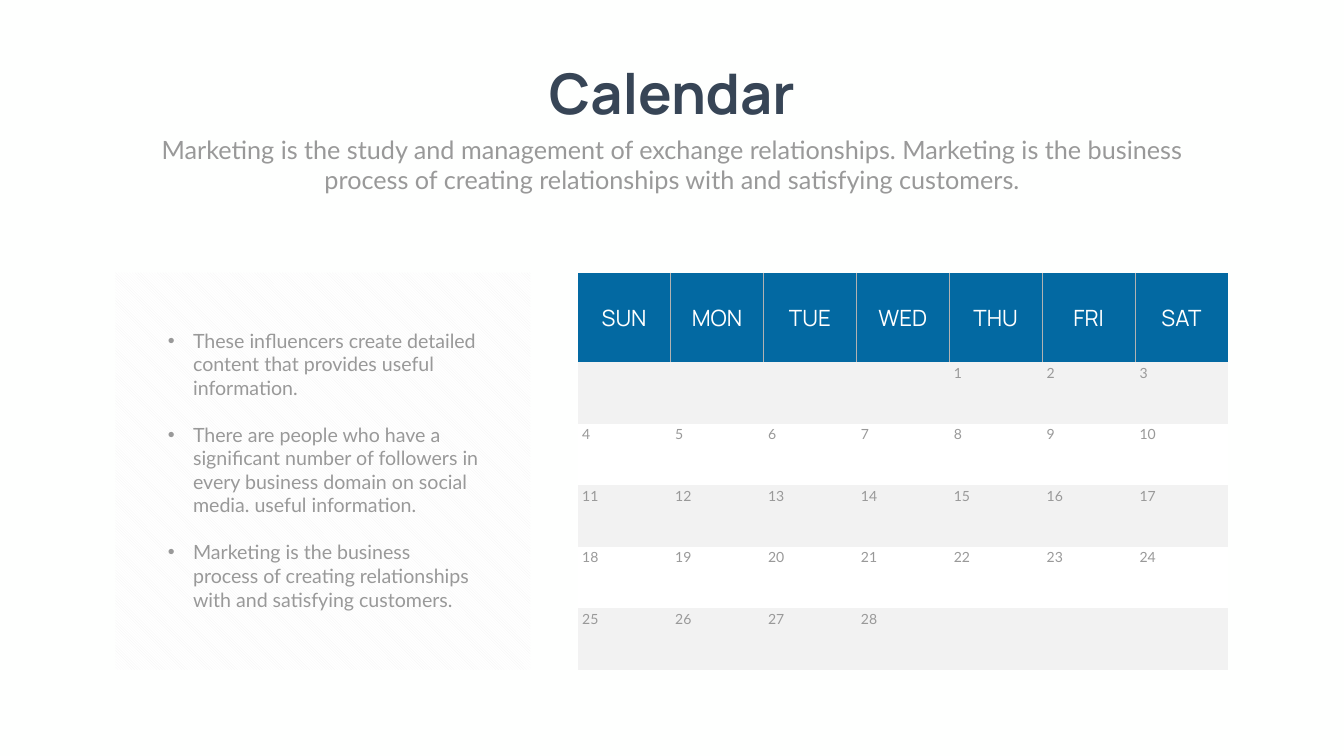
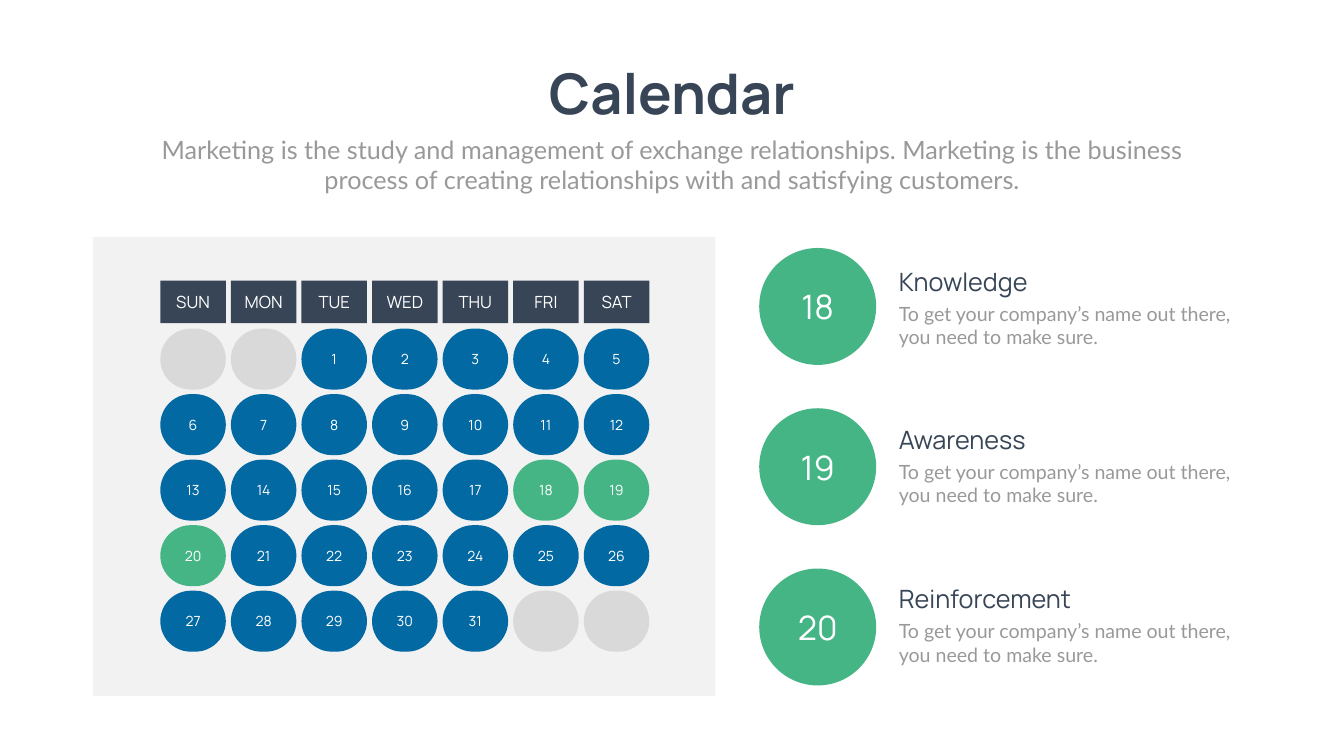
import pptx
import pptx.dml.color
import pptx.enum.dml
import pptx.enum.shapes
import pptx.enum.text
import pptx.oxml
import pptx.oxml.ns
import pptx.util

Inches = pptx.util.Inches
Pt = pptx.util.Pt
SHAPE = pptx.enum.shapes.MSO_SHAPE
ALIGN = pptx.enum.text.PP_ALIGN
ANCHOR = pptx.enum.text.MSO_ANCHOR

# Shared colours and text styles
NAVY, BLUE, GREEN = "374556", "0369A2", "46B586"
GREY_TEXT, GREY_LINE, GREY_DAY, PALE = "999999", "B2B2B2", "D9D9D9", "F2F2F2"
WHITE, PAPER = "FFFFFF", "FEFFFE"

TITLE = {"name": "Manrope", "size": Pt(80), "bold": True, "color": NAVY, "align": ALIGN.CENTER}
SUBTITLE = {"name": "Lato", "size": Pt(36), "color": GREY_TEXT, "align": ALIGN.CENTER}
BODY = {"name": "Lato", "size": Pt(28), "color": GREY_TEXT, "align": ALIGN.LEFT}
HEADING = {"name": "Manrope", "size": Pt(36), "color": NAVY, "align": ALIGN.LEFT}
DATE = {"name": "Lato", "size": Pt(20), "color": GREY_TEXT, "align": ALIGN.LEFT}
TABLE_HEAD = {"name": "Manrope", "size": Pt(32), "color": WHITE, "align": ALIGN.CENTER}
WEEKDAY = {**TABLE_HEAD, "size": Pt(24)}
DAY = {**TABLE_HEAD, "size": Pt(20)}
BADGE = {**TABLE_HEAD, "size": Pt(48)}

WEEKDAYS = ["SUN", "MON", "TUE", "WED", "THU", "FRI", "SAT"]
WEEKS = 5


def rgb(hex_color):
    return pptx.dml.color.RGBColor.from_string(hex_color)


def write(target, text, style, fill=None, anchor=ANCHOR.TOP):
    """Fill a shape or table cell and set its text, one paragraph per line."""
    if fill:
        target.fill.solid()
        target.fill.fore_color.rgb = rgb(fill)
        if hasattr(target, "line"):
            target.line.fill.background()
            target.shadow.inherit = False
    if not text:
        return
    frame = target.text_frame
    frame.text = text
    frame.word_wrap = True
    frame.auto_size = pptx.enum.text.MSO_AUTO_SIZE.NONE
    frame.vertical_anchor = anchor
    for paragraph in frame.paragraphs:
        paragraph.alignment = style["align"]
        paragraph.space_before = Pt(0)
        for run in paragraph.runs:
            run.font.color.rgb = rgb(style["color"])
            for key in ("name", "size", "bold"):
                setattr(run.font, key, style.get(key))


deck = pptx.Presentation()
deck.slide_width, deck.slide_height = Inches(26.66), Inches(15)
deck.slide_master.background.fill.solid()
deck.slide_master.background.fill.fore_color.rgb = rgb(PAPER)

# Both slides: title and subtitle
table_slide = deck.slides.add_slide(deck.slide_layouts[1])
circle_slide = deck.slides.add_slide(deck.slide_layouts[5])
for slide in (table_slide, circle_slide):
    title = slide.shapes.title
    title.left, title.top, title.width, title.height = map(Inches, (10.53, 1.12, 5.6, 1.45))
    write(title, "Calendar", TITLE)
    subtitle = slide.shapes.add_textbox(*map(Inches, (2.92, 2.61, 20.82, 1.31)))
    write(subtitle, "Marketing is the study and management of exchange relationships. "
          "Marketing is the business process of creating relationships with and "
          "satisfying customers.", SUBTITLE)

# Slide 1: striped panel, placed behind the list
stripes = table_slide.shapes.add_shape(SHAPE.RECTANGLE, *map(Inches, (2.29, 5.41, 8.23, 7.88)))
stripes.shadow.inherit = False
stripes.line.fill.background()
stripes.fill.patterned()
stripes.fill.pattern = pptx.enum.dml.MSO_PATTERN.WIDE_DOWNWARD_DIAGONAL
stripes.fill.fore_color.rgb = rgb(PALE)
stripes.fill.back_color.rgb = rgb(WHITE)
table_slide.shapes.element.insert(2, stripes.element)

# Slide 1: bulleted notes
notes = [
    "These influencers create detailed content that provides useful information.",
    "There are people who have a significant number of followers in every business "
    "domain on social media. useful information.",
    "Marketing is the business process of creating relationships with and satisfying customers.",
]
note_list = table_slide.placeholders[1]
note_list.left, note_list.top, note_list.width, note_list.height = map(
    Inches, (3.23, 6.47, 6.37, 5.76))
write(note_list, "\n".join(notes), BODY)
for index, paragraph in enumerate(note_list.text_frame.paragraphs):
    paragraph.space_before = Pt(33.6 if index else 0)
    properties = paragraph._p.get_or_add_pPr()
    properties.set("marL", str(Inches(0.5)))
    properties.set("indent", str(Inches(-0.5)))
    bullet = pptx.oxml.parse_xml(
        f'<a:buChar {pptx.oxml.ns.nsdecls("a")} char="•"/>')
    properties.append(bullet)

# Slide 1: month table, 28 days starting on a Thursday
month = table_slide.shapes.add_table(
    WEEKS + 1, len(WEEKDAYS), *map(Inches, (11.46, 5.41, 12.9, 7.88))).table
month.first_row = month.horz_banding = False
style_id = month._tbl.tblPr.find(pptx.oxml.ns.qn("a:tableStyleId"))
style_id.text = "{2D5ABB26-0587-4C30-8999-92F81FD0307C}"
for column in month.columns:
    column.width = Inches(12.9 / len(WEEKDAYS))
for index, row in enumerate(month.rows):
    row.height = Inches(1.22 if index else 1.78)
    for col, cell in enumerate(row.cells):
        cell.margin_left = cell.margin_right = Inches(0.09)
        cell.margin_top = cell.margin_bottom = Inches(0.04)
        if index:
            day = (index - 1) * 7 + col - 3
            write(cell, str(day) if 1 <= day <= 28 else "", DATE, PALE if index % 2 else WHITE)
            continue
        write(cell, WEEKDAYS[col], TABLE_HEAD, BLUE)
        cell.vertical_anchor = ANCHOR.MIDDLE
        # Thin rules between the weekdays only
        edges = (["lnR"] if col < 6 else []) + (["lnL"] if col else [])
        for edge in edges:
            cell._tc.tcPr.insert(0, pptx.oxml.parse_xml(
                f'<a:{edge} {pptx.oxml.ns.nsdecls("a")} w="{Pt(0.5)}"><a:solidFill>'
                f'<a:srgbClr val="{GREY_LINE}"/></a:solidFill></a:{edge}>'))

# Slide 2: month of circles, 31 days starting on a Tuesday
calendar = circle_slide.shapes.add_group_shape().shapes
panel = calendar.add_shape(SHAPE.RECTANGLE, *map(Inches, (1.85, 4.7, 12.34, 9.11)))
write(panel, "", DAY, PALE)
for col, weekday in enumerate(WEEKDAYS):
    left = 3.18 + 1.4 * col
    label = calendar.add_shape(SHAPE.RECTANGLE, *map(Inches, (left, 5.57, 1.3, 0.84)))
    write(label, weekday, WEEKDAY, NAVY, ANCHOR.MIDDLE)
    for week in range(WEEKS):
        day = week * 7 + col - 1
        in_month = 1 <= day <= 31
        fill = GREEN if day in (18, 19, 20) else BLUE if in_month else GREY_DAY
        date = calendar.add_shape(
            SHAPE.ROUNDED_RECTANGLE, *map(Inches, (left, 6.52 + 1.3 * week, 1.3, 1.21)))
        date.adjustments[0] = 0.5
        write(date, str(day) if in_month else "", DAY, fill, ANCHOR.MIDDLE)

# Slide 2: the three highlighted days
events = [
    ("18", "Knowledge", 5.23, 3.26),
    ("19", "Awareness", 8.36, 3.26),
    ("20", "Reinforcement", 11.53, 4.22),
]
for index, (day, name, top, width) in enumerate(events):
    event = circle_slide.shapes.add_group_shape().shapes
    badge = event.add_shape(SHAPE.OVAL, *map(Inches, (15.06, 4.92 + 3.18 * index, 2.32, 2.32)))
    write(badge, day, BADGE, GREEN, ANCHOR.MIDDLE)
    detail = event.add_textbox(*map(Inches, (17.73, top + 0.71, 6.93, 1.04)))
    write(detail, "To get your company’s name out there, you need to make sure.", BODY)
    heading = event.add_textbox(*map(Inches, (17.73, top, width, 0.71)))
    write(heading, name, HEADING)

deck.save("out.pptx")
